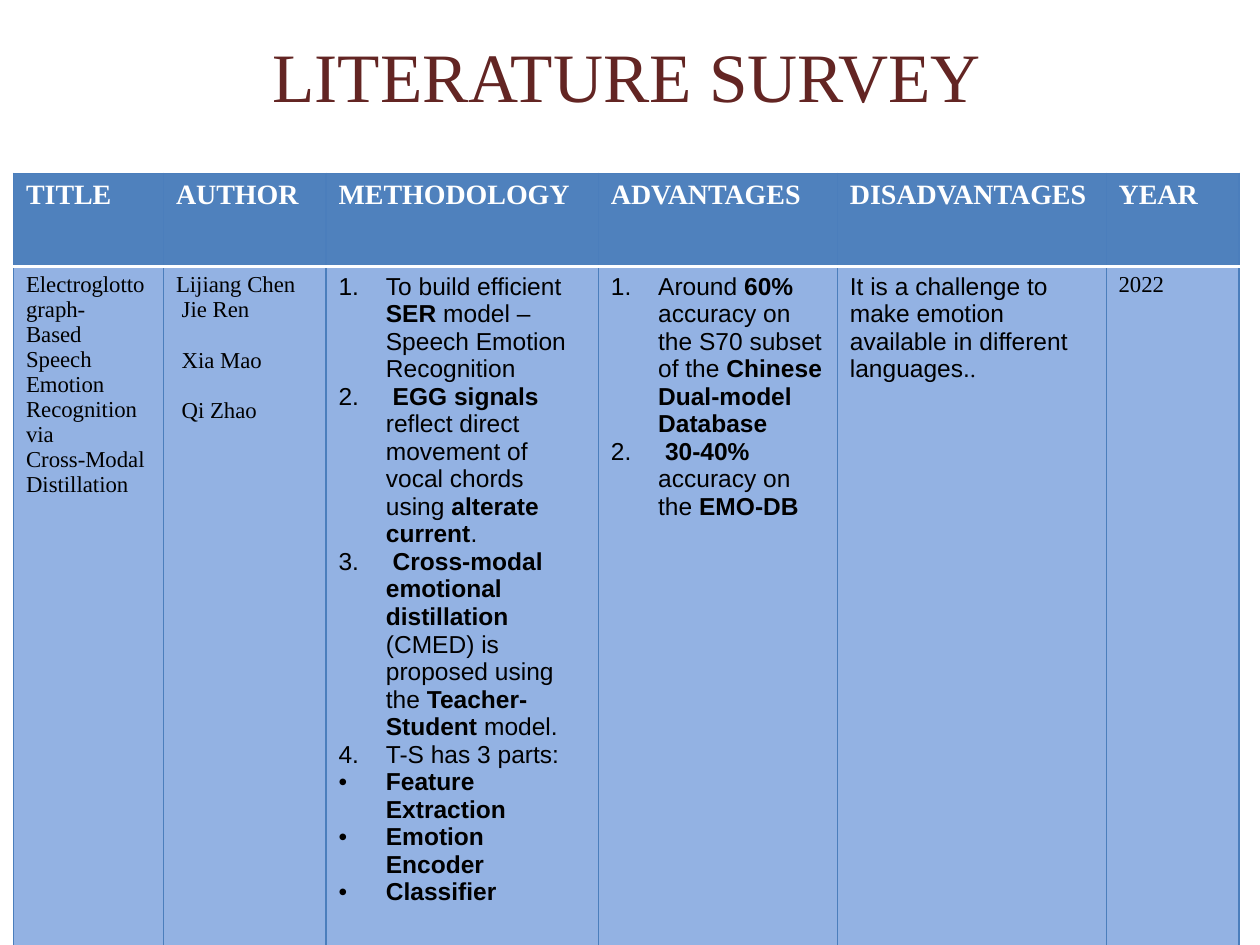
from dataclasses import dataclass

import pptx
import pptx.dml.color
import pptx.enum.text
import pptx.oxml.ns
import pptx.util
from lxml import etree

Pt = pptx.util.Pt
RGB = pptx.dml.color.RGBColor.from_string


@dataclass(frozen=True)
class Theme:
    serif: str = "Times New Roman"
    sans: str = "Arial"
    title: str = "632523"
    header: str = "4F81BD"
    body: str = "93B2E3"
    border: str = "4B7EBC"
    white: str = "FFFFFF"
    black: str = "000000"
    title_size: float = 39.6
    header_size: float = 16
    serif_size: float = 13
    sans_size: float = 14
    border_width: float = 0.75
    rule_width: float = 2


THEME = Theme()


@dataclass(frozen=True)
class Style:
    font: str
    size: float
    color: str
    bold: bool = False


TITLE = Style(THEME.serif, THEME.title_size, THEME.title)
HEADER = Style(THEME.serif, THEME.header_size, THEME.white, True)
SERIF = Style(THEME.serif, THEME.serif_size, THEME.black)
SANS = Style(THEME.sans, THEME.sans_size, THEME.black)


@dataclass(frozen=True)
class Para:
    """Text with **bold** parts; tail is a closing run in the serif style."""
    text: str
    style: Style = SERIF
    bullet: str = ""
    before: float = 0
    tail: str = ""


@dataclass(frozen=True)
class Column:
    heading: str
    width: float
    paras: list[Para]


def items(bullet: str, *texts: str) -> list[Para]:
    return [Para(text, SANS, bullet) for text in texts]


COLUMNS = [
    Column("TITLE", 85.7, [Para(text) for text in (
        "Electroglottograph-", "Based Speech", "Emotion",
        "Recognition via", "Cross-Modal", "Distillation")]),
    Column("AUTHOR", 92.9, [
        Para("Lijiang Chen"), Para(" Jie Ren"),
        Para(" Xia Mao", before=14.4), Para(" Qi Zhao", before=14.4)]),
    Column("METHODOLOGY", 155.6, items(
        "1.",
        "To build efficient **SER** model – Speech Emotion Recognition",
        " **EGG signals** reflect direct movement of vocal chords using "
        "**alterate current**.",
        " **Cross-modal emotional distillation** (CMED) is proposed using "
        "the **Teacher-Student** model.",
        "T-S has 3 parts:",
    ) + items("•", "**Feature Extraction**", "**Emotion Encoder**",
              "**Classifier**")),
    Column("ADVANTAGES", 136.6, items(
        "1.",
        "Around **60%** accuracy on the S70 subset of the "
        "**Chinese Dual-model Database**",
        " **30-40%** accuracy on the **EMO-DB**")),
    Column("DISADVANTAGES", 153.6, [Para(
        "It is a challenge to make emotion available in different languages.",
        SANS, tail=".")]),
    Column("YEAR", 76, [Para("2022")]),
]
ROW_HEIGHTS = (53.3, 287)  # the second row grows to fit its text


def set_font(font, style: Style) -> None:
    font.name = style.font
    font.size = Pt(style.size)
    font.color.rgb = RGB(style.color)


def add_child(parent, tag: str, **attributes: str):
    return etree.SubElement(parent, pptx.oxml.ns.qn(tag), attributes)


def set_bullet(p, bullet: str) -> None:
    pPr = p._p.get_or_add_pPr()
    pPr.set("marL", str(Pt(27)))
    pPr.set("indent", str(-Pt(27)))
    add_child(pPr, "a:buFont", typeface=THEME.sans)
    if bullet == "1.":
        add_child(pPr, "a:buAutoNum", type="arabicPeriod")
    else:
        add_child(pPr, "a:buChar", char=bullet)


def write(tf, paras: list[Para]) -> None:
    for i, para in enumerate(paras):
        p = tf.add_paragraph() if i else tf.paragraphs[0]
        if para.bullet:
            set_bullet(p, para.bullet)
        if para.before:
            p.space_before = Pt(para.before)
        set_font(p.font, para.style)
        for j, text in enumerate(para.text.split("**")):
            if text:
                r = p.add_run()
                r.text = text
                r.font.size = Pt(para.style.size)  # row height is measured on runs
                r.font.bold = para.style.bold or j % 2 == 1
        if para.tail:
            r = p.add_run()
            r.text = para.tail
            r.font.bold = False
            set_font(r.font, SERIF)
        add_child(p._p, "a:endParaRPr", sz=str(round(para.style.size * 100)))


def set_border(cell, side: str, color: str, width: float) -> None:
    line = add_child(cell._tc.get_or_add_tcPr(), f"a:ln{side}",
                     w=str(Pt(width)))
    add_child(add_child(line, "a:solidFill"), "a:srgbClr", val=color)


def fill_cell(cell, paras: list[Para], color: str, rule_side: str) -> None:
    """Write a cell; rule_side is the edge with the white header rule."""
    for side in "LRTB":
        if side == rule_side:
            set_border(cell, side, THEME.white, THEME.rule_width)
        else:
            set_border(cell, side, THEME.border, THEME.border_width)
    cell.fill.solid()
    cell.fill.fore_color.rgb = RGB(color)
    write(cell.text_frame, paras)


def add_title(s, text: str) -> None:
    tf = s.shapes.add_textbox(Pt(72), Pt(21.6), Pt(572.4), Pt(42.5)).text_frame
    tf.word_wrap = True
    tf.vertical_anchor = pptx.enum.text.MSO_ANCHOR.MIDDLE
    write(tf, [Para(text, TITLE)])
    tf.paragraphs[0].alignment = pptx.enum.text.PP_ALIGN.CENTER


def add_survey(s, columns: list[Column]) -> None:
    table = s.shapes.add_table(
        len(ROW_HEIGHTS), len(columns), Pt(7.7), Pt(99),
        Pt(sum(c.width for c in columns)), Pt(sum(ROW_HEIGHTS))).table
    table.horz_banding = False
    for row, height in zip(table.rows, ROW_HEIGHTS):
        row.height = Pt(height)
    for i, column in enumerate(columns):
        table.columns[i].width = Pt(column.width)
        fill_cell(table.cell(0, i), [Para(column.heading, HEADER)],
                  THEME.header, "B")
        fill_cell(table.cell(1, i), column.paras, THEME.body, "T")


def main() -> None:
    prs = pptx.Presentation()
    prs.slide_width, prs.slide_height = Pt(720), Pt(540)
    s = prs.slides.add_slide(prs.slide_layouts[6])
    add_title(s, "LITERATURE SURVEY")
    add_survey(s, COLUMNS)
    prs.save("out.pptx")


if __name__ == "__main__":
    main()
